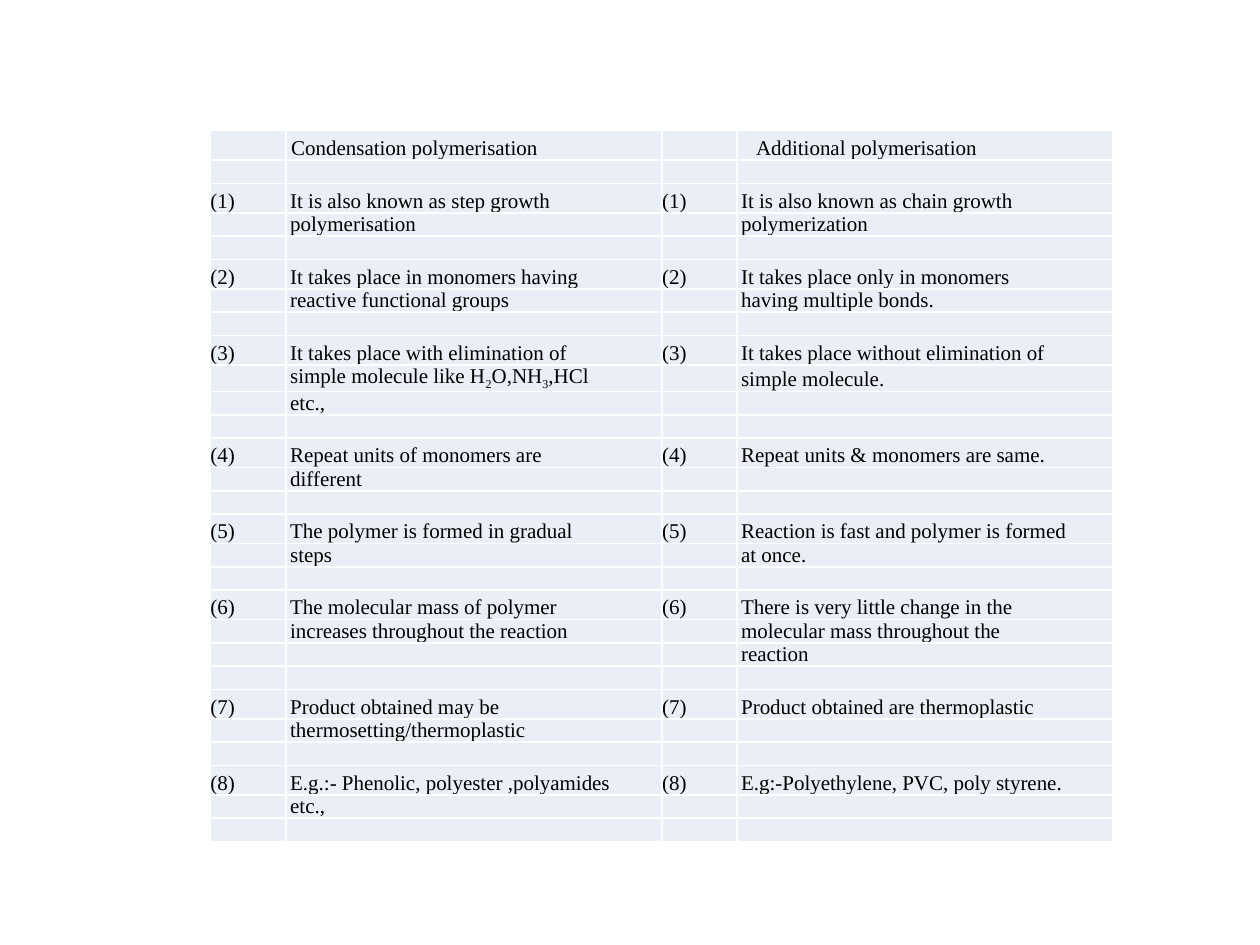
"""Builds a slide with a table comparing two kinds of polymerisation."""
from dataclasses import dataclass
from itertools import zip_longest

from lxml import etree
from pptx import Presentation
from pptx import util as u
from pptx.dml import color
from pptx.enum import text
from pptx.oxml import ns

PALE = color.RGBColor(0xEA, 0xEF, 0xF7)
BLACK = color.RGBColor(0, 0, 0)
FACE = "Times New Roman"
SIZE = u.Pt(12)
WIDTHS = (1.53, 7.58, 1.51, 7.58)
HEAD, FIRST, NEXT, GAP = 0.61, 0.59, 0.38, 0.33
INDENT = 0.08
CELL = {
    "margin_left": 0,
    "margin_right": 0,
    "margin_top": 0,
    "margin_bottom": 0,
    "vertical_anchor": text.MSO_ANCHOR.BOTTOM,
}
FONT = {"name": FACE, "size": SIZE}


@dataclass
class Pair:
    left: tuple[str, ...]
    right: tuple[str, ...]


@dataclass
class Row:
    height: float
    words: tuple[str, ...] = ("",) * 4
    dents: tuple[float, ...] = (0, INDENT, 0, INDENT)


PAIRS = (
    Pair(("It is also known as step growth", "polymerisation"),
         ("It is also known as chain growth", "polymerization")),
    Pair(("It takes place in monomers having", "reactive functional groups"),
         ("It takes place only in monomers", "having multiple bonds.")),
    Pair(("It takes place with elimination of",
          "simple molecule like H_2O,NH_3,HCl", "etc.,"),
         ("It takes place without elimination of", "simple molecule.")),
    Pair(("Repeat units of monomers are", "different"),
         ("Repeat units & monomers are same.",)),
    Pair(("The polymer is formed in gradual", "steps"),
         ("Reaction is fast and polymer is formed", "at once.")),
    Pair(("The molecular mass of polymer",
          "increases throughout the reaction"),
         ("There is very little change in the",
          "molecular mass throughout the", "reaction")),
    Pair(("Product obtained may be", "thermosetting/thermoplastic"),
         ("Product obtained are thermoplastic",)),
    Pair(("E.g.:- Phenolic, polyester ,polyamides", "etc.,"),
         ("E.g:-Polyethylene, PVC, poly styrene.",)),
)


def apply(target: object, values: dict) -> None:
    for name, value in values.items():
        setattr(target, name, value)


def list_rows() -> list[Row]:
    rows = [
        Row(HEAD, ("", "Condensation polymerisation",
                   "", "Additional polymerisation"), (0, 0.1, 0, 0.38)),
        Row(GAP),
    ]
    for num, pair in enumerate(PAIRS, 1):
        lines = zip_longest(pair.left, pair.right, fillvalue="")
        for i, (left, right) in enumerate(lines):
            mark = "" if i else f"({num})"
            rows.append(Row(NEXT if i else FIRST, (mark, left, mark, right)))
        rows.append(Row(GAP))
    return rows


def add_run(para: object, words: str, sub: bool = False) -> None:
    run = para.add_run()
    run.text = words
    apply(run.font, FONT)
    run.font.color.rgb = BLACK
    if sub:
        run.font._element.set("baseline", "-25000")


def fill_cell(cell: object, words: str, dent: float) -> None:
    apply(cell, CELL)
    cell.fill.solid()
    cell.fill.fore_color.rgb = PALE
    para = cell.text_frame.paragraphs[0]
    if not words:
        end = para._p.get_or_add_endParaRPr()
        end.set("sz", str(int(SIZE.pt * 100)))
        etree.SubElement(end, ns.qn("a:latin")).set("typeface", FACE)
        return
    para.alignment = text.PP_ALIGN.JUSTIFY
    para._p.get_or_add_pPr().set("marL", str(u.Cm(dent)))
    start, *parts = words.split("_")
    add_run(para, start)
    for part in parts:
        add_run(para, part[0], sub=True)
        add_run(para, part[1:])


def add_grid(slide: object, rows: list[Row]) -> None:
    frame = slide.shapes.add_table(
        len(rows), len(WIDTHS), u.Cm(4.24), u.Cm(2.62),
        u.Cm(sum(WIDTHS)), u.Cm(14.94))
    table = frame.table
    apply(table, {"first_row": False, "horz_banding": False})
    for col, width in zip(table.columns, WIDTHS):
        col.width = u.Cm(width)
    for line, row in zip(table.rows, rows):
        line.height = u.Cm(row.height)
        for cell, words, dent in zip(line.cells, row.words, row.dents):
            fill_cell(cell, words, dent)
    frame.height = u.Cm(14.94)


def main() -> None:
    deck = Presentation()
    apply(deck, {"slide_width": u.Cm(25.4), "slide_height": u.Cm(19.05)})
    slide = deck.slides.add_slide(deck.slide_layouts[6])
    add_grid(slide, list_rows())
    deck.save("out.pptx")


if __name__ == "__main__":
    main()
